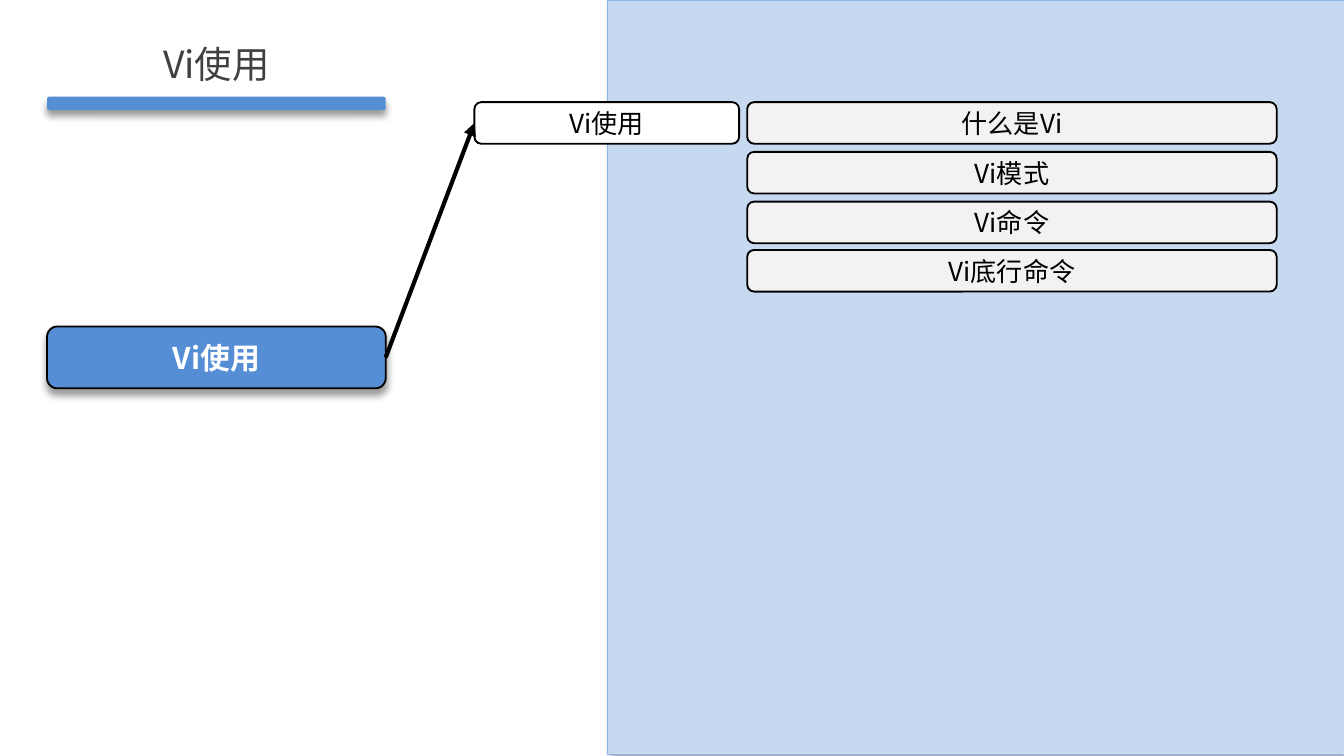
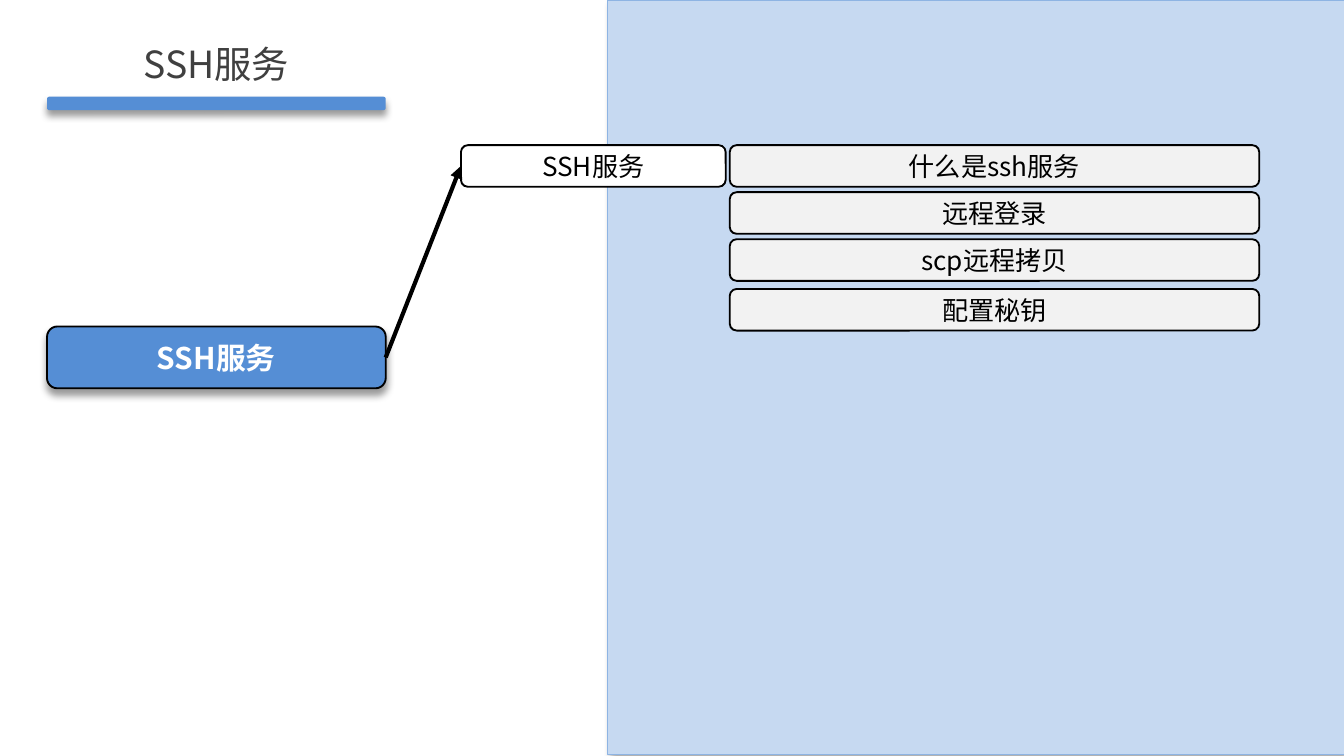
from lxml import etree
from pptx import Presentation
from pptx import util as u
from pptx.dml.color import RGBColor
from pptx.enum import shapes, text
from pptx.oxml.ns import qn

# Shared look
FONT = "Noto Sans CJK SC"
BLUE, PALE_BLUE, EDGE_BLUE = "558ED5", "C6D9F1", "8EB4E3"
BLACK, WHITE, LIGHT_GREY, DARK_GREY = "000000", "FFFFFF", "F2F2F2", "404040"
RECTANGLE = shapes.MSO_SHAPE.RECTANGLE
ROUNDED = shapes.MSO_SHAPE.ROUNDED_RECTANGLE
LEFT, COLUMN_WIDTH = 0.35, 2.52
ROW_HEIGHT = 0.31
TITLE = {"size": u.Pt(20), "bold": False, "color": DARK_GREY}
TOPIC = {"size": u.Pt(16), "bold": True, "color": WHITE}
LABEL = {"size": u.Pt(14), "bold": False, "color": BLACK}

# Per slide: name, left of the section box, left of the details, detail rows with tops
TOPICS = [
    ("Vi使用", 3.53, 5.56,
     [("什么是Vi", 0.76), ("Vi模式", 1.13), ("Vi命令", 1.5), ("Vi底行命令", 1.86)]),
    ("SSH服务", 3.43, 5.43,
     [("什么是ssh服务", 1.08), ("远程登录", 1.43), ("scp远程拷贝", 1.78), ("配置秘钥", 2.15)]),
]


def add_box(slide, kind, bounds, fill, line=BLACK, width=1, shadow=None):
    """Add a filled shape; shadow is the direction in degrees."""
    shape = slide.shapes.add_shape(kind, *map(u.Inches, bounds))
    shape.fill.solid()
    shape.fill.fore_color.rgb = RGBColor.from_string(fill)
    if line:
        shape.line.color.rgb = RGBColor.from_string(line)
        shape.line.width = u.Pt(width)
    else:
        shape.line.fill.background()
    shape.shadow.inherit = False
    if shadow is not None:
        effects = shape.element.spPr.find(qn("a:effectLst"))
        outer = etree.SubElement(effects, qn("a:outerShdw"), blurRad=str(u.Pt(4)),
                                 dist=str(u.Pt(3)), dir=str(shadow * 60000), rotWithShape="0")
        color = etree.SubElement(outer, qn("a:srgbClr"), val=BLACK)
        etree.SubElement(color, qn("a:alpha"), val="40000")
    return shape


def write(shape, words, style, anchor=text.MSO_ANCHOR.MIDDLE):
    """Put one centred line of text in a shape."""
    frame = shape.text_frame
    frame.word_wrap = True
    frame.vertical_anchor = anchor
    paragraph = frame.paragraphs[0]
    paragraph.alignment = text.PP_ALIGN.CENTER
    run = paragraph.add_run()
    run.text = words
    run.font.name = FONT
    for name, value in style.items():
        if name == "color":
            run.font.color.rgb = RGBColor.from_string(value)
        else:
            setattr(run.font, name, value)
    etree.SubElement(run._r.get_or_add_rPr(), qn("a:ea"), typeface=FONT)


# Widescreen page, 16:9
presentation = Presentation()
presentation.slide_width = u.Inches(10)
presentation.slide_height = u.Inches(10) * 9 // 16

for name, section_left, detail_left, details in TOPICS:
    slide = presentation.slides.add_slide(presentation.slide_layouts[6])

    # Right panel, title and title bar
    add_box(slide, RECTANGLE, (4.52, 0, 5.48, 5.61), PALE_BLUE, EDGE_BLUE, 0.25, shadow=45)
    add_box(slide, ROUNDED, (LEFT, 0.72, COLUMN_WIDTH, 0.1), BLUE, line=None, shadow=90)
    title = slide.shapes.add_textbox(*map(u.Inches, (LEFT, 0.14, COLUMN_WIDTH, 0.55)))
    write(title, name, TITLE, text.MSO_ANCHOR.BOTTOM)

    # Topic and section boxes
    topic = add_box(slide, ROUNDED, (LEFT, 2.43, COLUMN_WIDTH, 0.46), BLUE, shadow=90)
    write(topic, name, TOPIC)
    section = add_box(slide, ROUNDED, (section_left, details[0][1], 1.97, ROW_HEIGHT), WHITE)
    write(section, name, LABEL)

    # Arrow from topic to section
    arrow = slide.shapes.add_connector(shapes.MSO_CONNECTOR.STRAIGHT, 0, 0, 0, 0)
    arrow.begin_connect(topic, 3)
    arrow.end_connect(section, 1)
    arrow.line.color.rgb = RGBColor.from_string(BLACK)
    arrow.line.width = u.Pt(2.25)
    properties = arrow.element.spPr
    etree.SubElement(properties.find(qn("a:ln")), qn("a:tailEnd"), type="triangle")
    etree.SubElement(properties, qn("a:effectLst"))

    # Detail rows
    for words, top in details:
        row = add_box(slide, ROUNDED, (detail_left, top, 3.94, ROW_HEIGHT), LIGHT_GREY)
        write(row, words, LABEL)

presentation.save("out.pptx")
